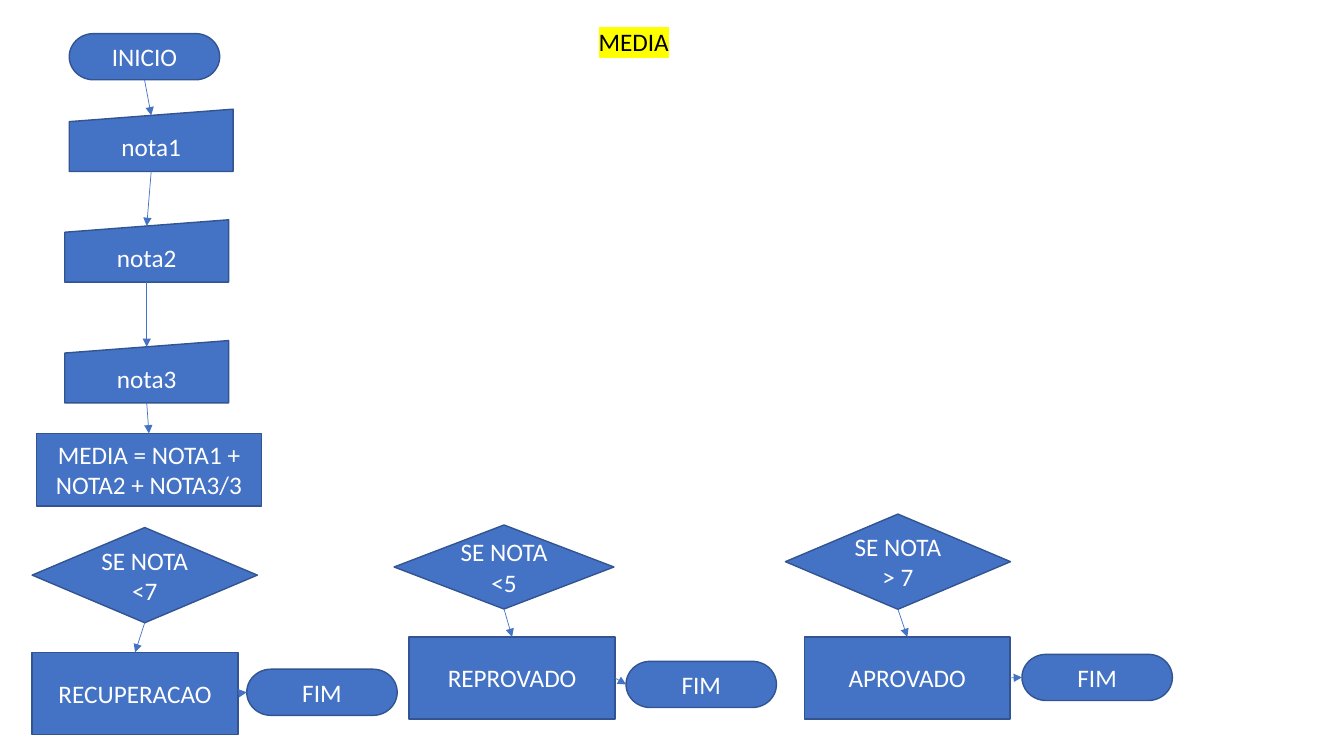
from lxml.etree import SubElement
from pptx import Presentation
from pptx.dml.color import RGBColor
from pptx.enum.shapes import MSO_CONNECTOR, MSO_SHAPE as Shape
from pptx.enum.text import MSO_ANCHOR, PP_ALIGN
from pptx.oxml import parse_xml
from pptx.oxml.ns import nsdecls, qn
from pptx.util import Pt

BLUE = RGBColor(0x44, 0x72, 0xC4)
OUTLINE = RGBColor(0x32, 0x54, 0x91)
WHITE = RGBColor(0xFF, 0xFF, 0xFF)
BLACK = RGBColor(0, 0, 0)
TOP, LEFT, BOTTOM, RIGHT = range(4)

deck = Presentation()
deck.slide_width, deck.slide_height = Pt(960), Pt(540)
slide = deck.slides.add_slide(deck.slide_layouts[6])


def add_step(kind, text, left, top, width, height):
    step = slide.shapes.add_shape(kind, Pt(left), Pt(top), Pt(width), Pt(height))
    step.shadow.inherit = False
    step.fill.solid()
    step.fill.fore_color.rgb = BLUE
    step.line.color.rgb = OUTLINE
    step.line.width = Pt(1)
    frame = step.text_frame
    frame.text = text
    frame.word_wrap = True
    frame.vertical_anchor = MSO_ANCHOR.MIDDLE
    frame.paragraphs[0].alignment = PP_ALIGN.CENTER
    font = frame.paragraphs[0].runs[0].font
    font.name, font.size, font.color.rgb = "Calibri", Pt(18), WHITE
    return step


def add_arrow(source, target, source_side=BOTTOM, target_side=TOP):
    arrow = slide.shapes.add_connector(MSO_CONNECTOR.STRAIGHT, 0, 0, 0, 0)
    arrow.begin_connect(source, source_side)
    arrow.end_connect(target, target_side)
    if target.auto_shape_type == Shape.FLOWCHART_MANUAL_INPUT:
        arrow.end_y = target.top + target.height // 10
    arrow.line.color.rgb = BLUE
    arrow.line.width = Pt(0.5)
    SubElement(arrow.line._get_or_add_ln(), qn("a:tailEnd"), type="triangle")
    SubElement(arrow._element.spPr, qn("a:effectLst"))


title = slide.shapes.add_textbox(Pt(420.5), Pt(15), Pt(208), Pt(29)).text_frame
title.word_wrap = True
title.text = "MEDIA"
title_font = title.paragraphs[0].runs[0].font
title_font.name, title_font.size, title_font.color.rgb = "Calibri", Pt(18), BLACK
title_fill = title_font._element.find(qn("a:solidFill"))
title_fill.addnext(parse_xml(
    f'<a:highlight {nsdecls("a")}><a:srgbClr val="FFFF00"/></a:highlight>'))

previous = add_step(Shape.FLOWCHART_TERMINATOR, "INICIO", 49.5, 24, 107.5, 33)
for grade, left, top in [("nota1", 49.5, 78), ("nota2", 46.3, 157), ("nota3", 46.3, 243.3)]:
    grade_input = add_step(Shape.FLOWCHART_MANUAL_INPUT, grade, left, top, 117, 44.5)
    add_arrow(previous, grade_input)
    previous = grade_input
average = add_step(Shape.RECTANGLE, "MEDIA = NOTA1 + NOTA2 + NOTA3/3", 26, 309.6, 160.8, 52)
add_arrow(previous, average)

branches = [
    ("SE NOTA <7", (23, 376.8, 160.8, 68), "RECUPERACAO", (23, 466), (176.3, 478)),
    ("SE NOTA <5", (281.5, 375, 157, 60), "REPROVADO", (292.3, 455), (447.2, 472.4)),
    ("SE NOTA > 7", (561, 367.2, 160.8, 68), "APROVADO", (574.6, 455), (730, 467.4)),
]
for condition, condition_box, outcome, outcome_at, finish_at in branches:
    decision = add_step(Shape.FLOWCHART_DECISION, condition, *condition_box)
    result = add_step(Shape.RECTANGLE, outcome, *outcome_at, 147, 58.5)
    finish = add_step(Shape.FLOWCHART_TERMINATOR, "FIM", *finish_at, 107.5, 33)
    add_arrow(decision, result)
    add_arrow(result, finish, RIGHT, LEFT)

deck.save("out.pptx")
